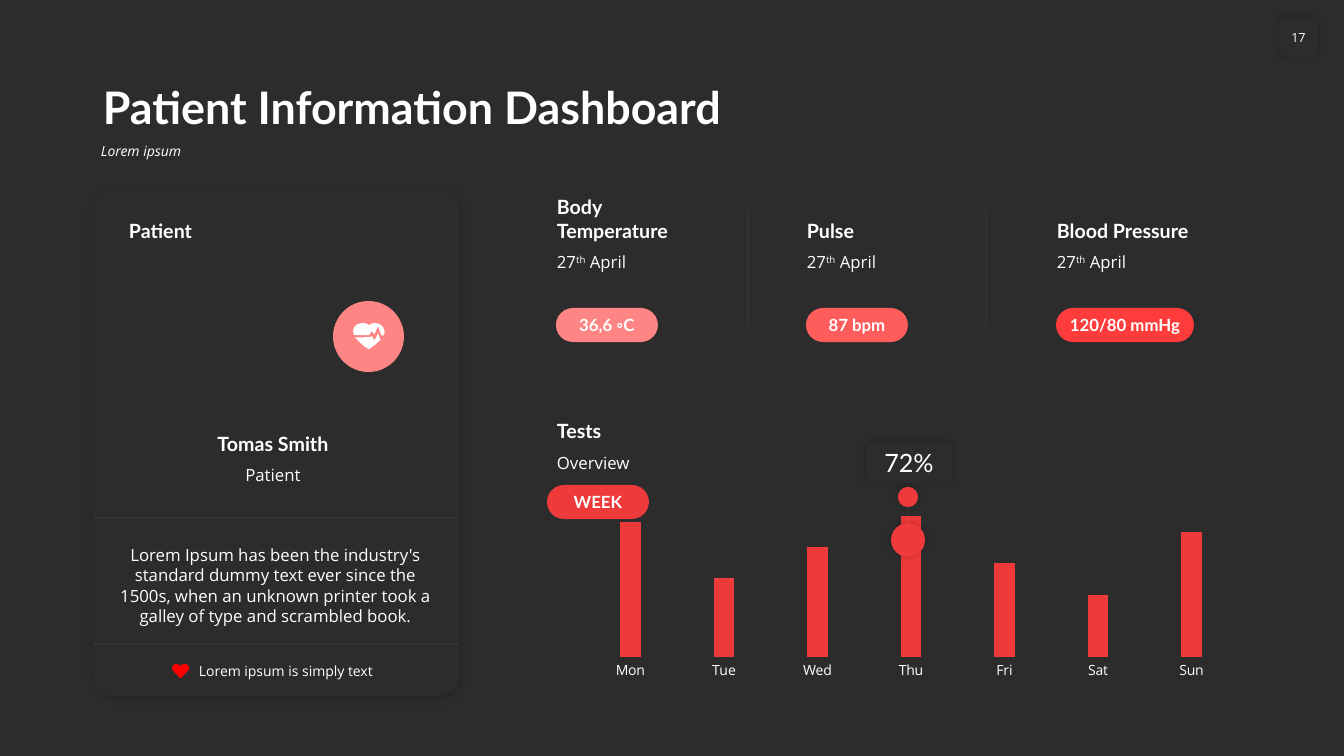
from lxml.etree import SubElement
from pptx import Presentation
from pptx.chart.data import CategoryChartData
from pptx.dml.color import RGBColor
from pptx.enum.chart import XL_CHART_TYPE, XL_TICK_MARK
from pptx.enum.shapes import MSO_CONNECTOR, MSO_SHAPE
from pptx.enum.text import MSO_ANCHOR, PP_ALIGN
from pptx.oxml.ns import qn
from pptx.util import Emu, Pt

EMU_PER_PX = 12192000 / 1344
DARK = RGBColor(0x2C, 0x2C, 0x2C)
WHITE = RGBColor(0xFF, 0xFF, 0xFF)
RED = RGBColor(0xEE, 0x3A, 0x3A)
PURE_RED = RGBColor(0xFF, 0x00, 0x00)
PINK = RGBColor(0xFF, 0x85, 0x85)
CORAL = RGBColor(0xFF, 0x5C, 0x5C)
SCARLET = RGBColor(0xFF, 0x3C, 0x3C)
HEADING = "Lato"
BODY = "Open Sans"

DATE = [("27", 0), ("th", 30000), (" April", 0)]
METRICS = [
    ("Body Temperature", "36,6 ◦C", 102, PINK),
    ("Pulse", "87 bpm", 102, CORAL),
    ("Blood Pressure", "120/80 mmHg", 138, SCARLET),
]
TESTS = {"Mon": 96, "Tue": 56, "Wed": 78, "Thu": 100, "Fri": 67, "Sat": 44, "Sun": 89}

SMALL_HEART = [[
    (86, 145), (20, 78), (6, 60), (0, 42), (4, 22), (18, 7), (40, 0), (60, 3), (74, 10),
    (86, 21), (98, 10), (112, 3), (132, 0), (154, 7), (168, 22), (172, 42), (166, 60), (152, 78),
]]
PULSE_HEART = [
    [(252, 105), (272, 160), (275, 170), (225, 215), (160, 262), (110, 232), (55, 180),
     (22, 145), (172, 142), (190, 130), (212, 175), (232, 142)],
    [(100, 0), (135, 6), (160, 22), (185, 6), (220, 0), (265, 10), (300, 40), (318, 85),
     (308, 125), (290, 125), (282, 122), (262, 62), (252, 30), (212, 115), (190, 80),
     (160, 122), (10, 122), (0, 85), (8, 48), (40, 12)],
]


def px(value):
    return Emu(round(value * EMU_PER_PX))


def write_text(text_frame, text, size=12, font=BODY, bold=False, italic=False,
               align=PP_ALIGN.LEFT, anchor=MSO_ANCHOR.TOP, spacing=None, wrap=True):
    text_frame.word_wrap = wrap
    text_frame.vertical_anchor = anchor
    paragraph = text_frame.paragraphs[0]
    paragraph.alignment = align
    if spacing:
        paragraph.line_spacing = spacing
    for words, baseline in [(text, 0)] if isinstance(text, str) else text:
        run = paragraph.add_run()
        run.text = words
        run.font.size = Pt(size)
        run.font.name = font
        run.font.bold = bold
        run.font.italic = italic
        run.font.color.rgb = WHITE
        if baseline:
            run.font._element.set("baseline", str(baseline))


def add_text(slide, box, text, **text_format):
    text_box = slide.shapes.add_textbox(*map(px, box))
    write_text(text_box.text_frame, text, **text_format)


def add_heading(slide, box, text, **text_format):
    add_text(slide, box, text, size=14, font=HEADING, bold=True,
             anchor=MSO_ANCHOR.BOTTOM, **text_format)


def paint(shape, color):
    shape.shadow.inherit = False
    shape.fill.solid()
    shape.fill.fore_color.rgb = color
    shape.line.fill.background()


def add_shadow(shape, blur, distance, opacity):
    effects = shape._element.spPr.find(qn("a:effectLst"))
    shadow = SubElement(effects, qn("a:outerShdw"), blurRad=str(Pt(blur)),
                        dist=str(Pt(distance)), dir="2700000", algn="tl", rotWithShape="0")
    color = SubElement(shadow, qn("a:srgbClr"), val="000000")
    SubElement(color, qn("a:alpha"), val=str(opacity * 1000))


def add_block(slide, kind, box, color, corner=None, shadow=None):
    shape = slide.shapes.add_shape(kind, *map(px, box))
    paint(shape, color)
    if corner is not None:
        shape.adjustments[0] = corner
    if shadow:
        add_shadow(shape, *shadow)
    return shape


def add_label(slide, box, color, text, inset=0, corner=None, shadow=None, **text_format):
    shape = add_block(slide, MSO_SHAPE.ROUNDED_RECTANGLE, box, color, corner, shadow)
    frame = shape.text_frame
    frame.margin_left = frame.margin_right = px(inset)
    frame.margin_top = frame.margin_bottom = 0
    write_text(frame, text, align=PP_ALIGN.CENTER, anchor=MSO_ANCHOR.MIDDLE, **text_format)


def add_pill(slide, box, color, text):
    add_label(slide, box, color, text, corner=0.5, font=HEADING, bold=True)


def add_rule(slide, *ends):
    connector = slide.shapes.add_connector(MSO_CONNECTOR.STRAIGHT, *map(px, ends))
    connector.line.width = Pt(0.5)
    connector.line.color.rgb = WHITE
    properties = connector._element.spPr
    SubElement(properties.find(".//" + qn("a:srgbClr")), qn("a:alpha"), val="10000")
    SubElement(properties, qn("a:effectLst"))
    return connector


def add_outline(slide, left, top, contours, color):
    first, *others = contours
    builder = slide.shapes.build_freeform(*first[0], scale=EMU_PER_PX / 10)
    builder.add_line_segments(first[1:], close=True)
    for contour in others:
        builder.move_to(*contour[0])
        builder.add_line_segments(contour[1:], close=True)
    paint(builder.convert_to_shape(px(left), px(top)), color)


def place_plot(chart, **fractions):
    plot_area = chart._chartSpace.chart.plotArea
    layout = plot_area.find(qn("c:layout"))
    if layout is None:
        layout = SubElement(plot_area, qn("c:layout"))
        plot_area.insert(0, layout)
    manual = SubElement(layout, qn("c:manualLayout"))
    settings = {"layoutTarget": "inner", "xMode": "edge", "yMode": "edge", **fractions}
    for name, value in settings.items():
        SubElement(manual, qn("c:" + name), val=str(value))


def add_tests_chart(slide, box):
    data = CategoryChartData()
    data.categories = list(TESTS)
    data.add_series("Series 1", list(TESTS.values()))
    chart = slide.shapes.add_chart(XL_CHART_TYPE.COLUMN_CLUSTERED, *map(px, box), data).chart
    chart.has_legend = False
    chart.has_title = False
    chart.font.size = Pt(12)
    chart.font.name = BODY
    chart.font.color.rgb = WHITE
    plot = chart.plots[0]
    plot.gap_width = 360
    plot.overlap = -30
    plot.vary_by_categories = False
    fill = plot.series[0].format.fill
    fill.solid()
    fill.fore_color.rgb = RED
    days = chart.category_axis
    days.major_tick_mark = XL_TICK_MARK.NONE
    days.format.line.fill.background()
    days.tick_labels.font.size = Pt(10)
    values = chart.value_axis
    values.minimum_scale = 0
    values.maximum_scale = 100
    values.has_major_gridlines = False
    values.visible = False
    place_plot(chart, x=0.02, y=0.1, w=0.96, h=0.76)


def add_patient_card(slide):
    add_block(slide, MSO_SHAPE.ROUNDED_RECTANGLE, (93, 190, 366, 506), DARK, 0.054, (6, 1, 15))
    add_heading(slide, (119, 213, 323, 34), "Patient")
    add_heading(slide, (172, 426, 202, 34), "Tomas Smith", align=PP_ALIGN.CENTER)
    add_text(slide, (172, 460, 202, 30), "Patient", align=PP_ALIGN.CENTER)
    for y in (518, 644):
        add_rule(slide, 93, y, 459, y)
    add_text(slide, (109, 540, 333, 92),
             "Lorem Ipsum has been the industry's standard dummy text ever since the 1500s, "
             "when an unknown printer took a galley of type and scrambled book.",
             align=PP_ALIGN.CENTER)
    add_outline(slide, 172, 664, SMALL_HEART, PURE_RED)
    add_text(slide, (189, 657, 198, 27), "Lorem ipsum is simply text",
             size=10, anchor=MSO_ANCHOR.MIDDLE)
    add_block(slide, MSO_SHAPE.OVAL, (333, 301, 71, 71), PINK)
    add_outline(slide, 353, 323, PULSE_HEART, WHITE)


def add_metrics(slide):
    for index, (name, reading, width, color) in enumerate(METRICS):
        left = 547 + 250 * index
        add_heading(slide, (left, 190, 167, 57), name)
        add_text(slide, (left, 247, 167, 30), DATE)
        add_pill(slide, (left + 9, 308, width, 34), color, reading)
    for x in (748, 986):
        add_rule(slide, x, 324, x, 210)


def add_tests(slide):
    soft_shadow = (5, 0, 20)
    add_heading(slide, (547, 413, 288, 34), "Tests")
    add_text(slide, (547, 448, 288, 30), "Overview")
    add_tests_chart(slide, (570, 498, 682, 185))
    knob = add_block(slide, MSO_SHAPE.OVAL, (891, 523, 34, 34), RED, shadow=soft_shadow)
    add_rule(slide, 908, 508, 908, 523).end_connect(knob, 0)
    add_block(slide, MSO_SHAPE.OVAL, (898, 487, 20, 20), RED, shadow=soft_shadow)
    add_label(slide, (866, 442, 86, 41), DARK, "72%", inset=8, shadow=soft_shadow,
              size=18, font=HEADING)
    add_pill(slide, (547, 485, 102, 34), RED, "WEEK")


def main():
    presentation = Presentation()
    presentation.slide_width = px(1344)
    presentation.slide_height = px(756)
    slide = presentation.slides.add_slide(presentation.slide_layouts[6])
    slide.background.fill.solid()
    slide.background.fill.fore_color.rgb = DARK
    add_text(slide, (93, 58, 1159, 81), "Patient Information Dashboard", size=32,
             font=HEADING, bold=True, anchor=MSO_ANCHOR.BOTTOM, spacing=0.9)
    add_text(slide, (91, 139, 1161, 36), "Lorem ipsum", size=10, italic=True, spacing=0.9)
    add_label(slide, (1279, 18, 39, 39), DARK, "17", shadow=(5, 0, 20), size=9, wrap=False)
    add_patient_card(slide)
    add_metrics(slide)
    add_tests(slide)
    presentation.save("out.pptx")


if __name__ == "__main__":
    main()
